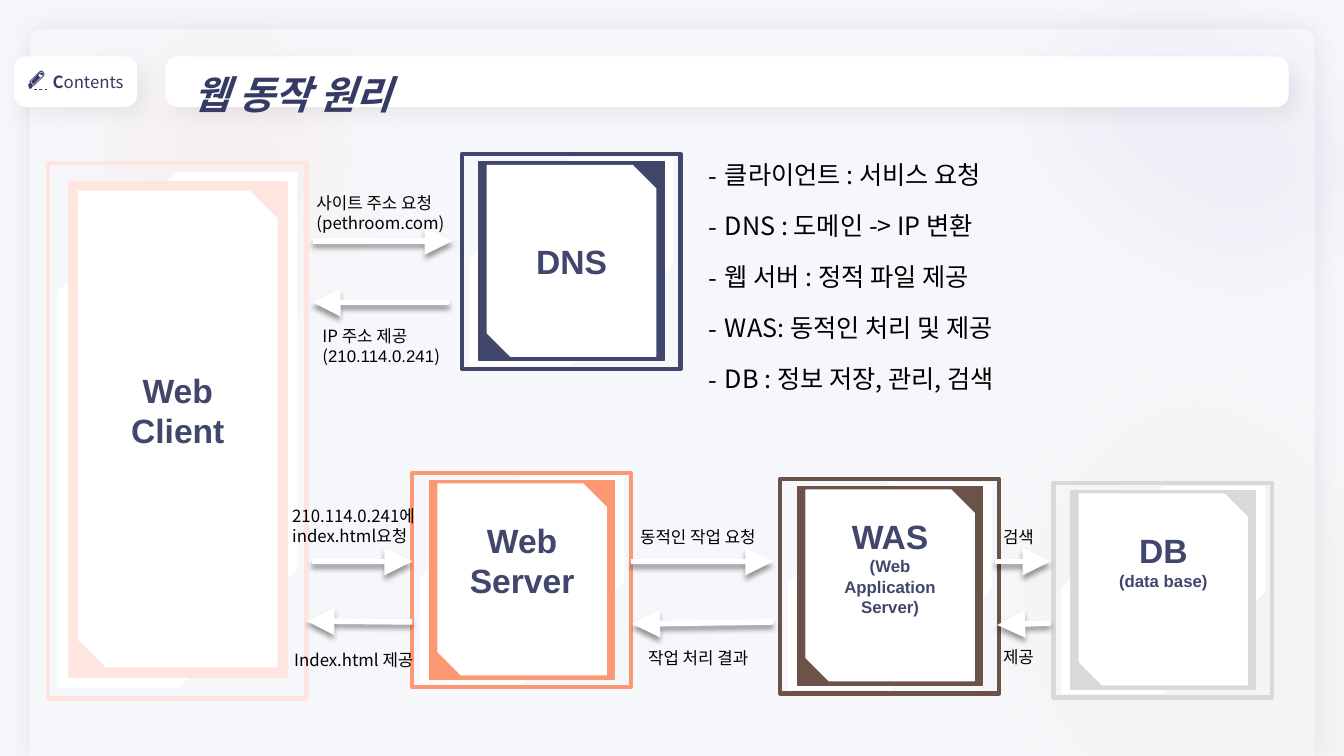
"""Builds the slide that explains how a web request travels from client to database."""
from dataclasses import dataclass

from lxml import etree
from pptx import Presentation
from pptx.dml.color import RGBColor
from pptx.enum.shapes import MSO_CONNECTOR, MSO_SHAPE
from pptx.enum.text import MSO_ANCHOR, MSO_AUTO_SIZE, PP_ALIGN
from pptx.oxml.ns import qn
from pptx.util import Inches, Pt

RECT, OVAL, ROUND = MSO_SHAPE.RECTANGLE, MSO_SHAPE.OVAL, MSO_SHAPE.ROUNDED_RECTANGLE
PANEL, SNIP = MSO_SHAPE.ROUND_2_SAME_RECTANGLE, MSO_SHAPE.SNIP_2_DIAG_RECTANGLE
STRAIGHT = MSO_CONNECTOR.STRAIGHT
LEFT, CENTER, RIGHT = PP_ALIGN.LEFT, PP_ALIGN.CENTER, PP_ALIGN.RIGHT
TOP, MIDDLE = MSO_ANCHOR.TOP, MSO_ANCHOR.MIDDLE
FIXED = MSO_AUTO_SIZE.NONE


@dataclass(frozen=True)
class Theme:
    """Colours, fonts and type sizes."""
    page: str = "F6F7FB"
    white: str = "FFFFFF"
    black: str = "000000"
    ink: str = "363B64"
    navy: str = "41466D"
    pink: str = "FEE5E0"
    orange: str = "FC9974"
    coral: str = "FD9374"
    purple: str = "7030A0"
    brown: str = "6D524A"
    gray: str = "D9D9D9"
    korean: str = "Noto Sans CJK KR"
    latin: str = "Arial"
    title: int = 28
    node: int = 24
    body: int = 18
    small: int = 12


T = Theme()
PANEL_SHADOW = (T.ink, 10, 18, 0, 0)
CARD_SHADOW = (T.black, 5, 15, 8, 45)
ARROW_SHADOW = (T.black, 40, 4, 3, 90)

TITLE = "웹 동작 원리"
TITLE_BAR = (1.64, 0.56, 11.14, 0.5)
TAB = (0.14, 0.56, 1.22, 0.5)
ROLES = [
    "클라이언트 : 서비스 요청",
    "DNS : 도메인 -> IP 변환",
    "웹 서버 : 정적 파일 제공",
    "WAS: 동적인 처리 및 제공",
    "DB : 정보 저장, 관리, 검색",
]
GLOWS = [
    ((0, -0.9, 4.5, 4.91), 0, T.coral, 7),
    ((9.7, -1.43, 4.5, 5.63), 291.5, T.purple, 4),
    ((9.01, 2.69, 6.26, 7.27), 339.8, T.orange, 4),
]
NODES = [
    ((0.48, 1.62, 2.56, 5.31), T.pink, [("Web", T.node), ("Client", T.node)], 0.38),
    ((4.09, 4.69, 2.17, 2.13), T.orange, [("Web", T.node), ("Server", T.node)], 0.38),
    ((7.74, 4.75, 2.17, 2.13), T.brown,
     [("WAS", T.node), ("(Web Application Server)", T.small)], 0.38),
    ((10.45, 4.79, 2.17, 2.13), T.gray, [("DB", T.node), ("(data base)", T.small)], 0.58),
    ((4.58, 1.53, 2.17, 2.13), T.navy, [("DNS", T.node)], 0),
]
ARROWS = [
    (3.1, 2.39, 4.49, 2.39), (4.45, 3, 3.1, 3),
    (3.09, 5.57, 4.09, 5.57), (4.09, 6.17, 3.04, 6.16),
    (6.26, 5.57, 7.67, 5.57), (7.67, 6.17, 6.27, 6.19),
    (9.87, 5.57, 10.42, 5.57), (10.42, 6.18, 9.89, 6.2),
]
LABELS = [
    ((3.04, 1.86, 1.55, 0.5), [["사이트 주소 요청"], ["(pethroom.com)"]]),
    ((3.1, 3.18, 1.46, 0.5), [["IP 주소 제공"], ["(", ("210.114.0.241", T.latin), ")"]]),
    ((2.8, 4.97, 1.53, 0.5), [["210.114.0.241에"], ["index.html요청"]]),
    ((6.25, 5.18, 1.69, 0.3), [["동적인 작업 요청"]]),
    ((6.33, 6.38, 1.53, 0.3), [["작업 처리 결과"]]),
    ((2.82, 6.4, 1.53, 0.3), [["Index.html 제공"]]),
    ((9.85, 5.18, 0.58, 0.3), [["검색"]]),
    ((9.85, 6.37, 0.55, 0.3), [["제공"]]),
]
PENCIL = [
    [[(29, 88), (28, 84), (30, 82), (29, 81), (39, 71), (41, 70), (43, 71), (44, 73),
      (44, 75), (34, 85), (33, 85), (31, 88)],
     [(39, 72), (30, 81), (33, 85), (43, 75), (43, 72), (41, 71)]],
    [[(33, 84), (42, 75), (43, 73), (42, 72), (40, 72), (39, 72), (31, 81)],
     [(39, 73), (38, 75), (40, 77), (42, 75)]],
]
DASHES = [(0.34, 0.37), (0.39, 0.42), (0.45, 0.47)]


def rgb(color):
    return RGBColor.from_string(color)


def box(at):
    return [Inches(v) for v in at]


def add_effects(sp, shadow=None, soft=None):
    effects = etree.SubElement(sp.element.spPr, qn("a:effectLst"))
    if shadow:
        color, alpha, blur, dist, angle = shadow
        outer = etree.SubElement(effects, qn("a:outerShdw"), blurRad=str(Pt(blur)),
                                 dist=str(Pt(dist)), dir=str(angle * 60000), rotWithShape="0")
        clr = etree.SubElement(outer, qn("a:srgbClr"), val=color)
        etree.SubElement(clr, qn("a:alpha"), val=str(alpha * 1000))
    if soft:
        etree.SubElement(effects, qn("a:softEdge"), rad=str(Inches(soft)))


def paint(sp, fill=None, line=None, width=1, shadow=None, alpha=None, soft=None):
    if fill:
        sp.fill.solid()
        sp.fill.fore_color.rgb = rgb(fill)
    else:
        sp.fill.background()
    if alpha:
        clr = sp.element.spPr.find(qn("a:solidFill"))[0]
        etree.SubElement(clr, qn("a:alpha"), val=str(alpha * 1000))
    if line:
        sp.line.color.rgb = rgb(line)
        sp.line.width = Pt(width)
    else:
        sp.line.fill.background()
    add_effects(sp, shadow, soft)


def add_shape(s, kind, at, adj=(), **look):
    sp = s.shapes.add_shape(kind, *box(at))
    for i, value in enumerate(adj):
        sp.adjustments[i] = value
    paint(sp, **look)
    return sp


def add_run(p, text, size, color, font=T.korean, bold=False, italic=False):
    r = p.add_run()
    r.text = text
    f = r.font
    f.size, f.bold, f.italic, f.name = Pt(size), bold, italic, font
    f.color.rgb = rgb(color)
    f.element.append(etree.Element(qn("a:ea"), typeface=font)) if hasattr(f, "element") else \
        etree.SubElement(r._r.get_or_add_rPr(), qn("a:ea"), typeface=font)


def paragraphs(tf, items, align=LEFT):
    for i, item in enumerate(items):
        p = tf.add_paragraph() if i else tf.paragraphs[0]
        p.alignment = align
        yield p, item


def add_line(s, ends, color, width):
    line = s.shapes.add_connector(STRAIGHT, *box(ends))
    line.line.color.rgb = rgb(color)
    line.line.width = Pt(width)
    return line


def add_node(s, at, color, lines, lift):
    x, y, w, h = at
    add_shape(s, RECT, at, line=color, width=3)
    for k, fill, adj in [(1, T.white, (0.5, 0)), (2, color, (0, 0)), (3, T.white, (0, 0.138))]:
        layer = (x + 0.039 * k * w, y + 0.0175 * k * h,
                 w * (1 - 0.077 * k), h * (1 - 0.0373 * k))
        sp = add_shape(s, SNIP, layer, adj, fill=fill, line=fill)
    tf = sp.text_frame
    tf.word_wrap, tf.vertical_anchor = True, MIDDLE
    tf.margin_bottom = Inches(0.05 + lift)
    for p, (text, size) in paragraphs(tf, lines, CENTER):
        add_run(p, text, size, T.navy, T.latin, bold=True)


def add_header(s):
    tab = add_shape(s, ROUND, TAB, [0.237], fill=T.white, shadow=CARD_SHADOW)
    tab.text_frame.vertical_anchor = MIDDLE
    p = tab.text_frame.paragraphs[0]
    p.alignment = RIGHT
    add_run(p, "C", T.small, T.ink, bold=True)
    add_run(p, "ontents", T.small, T.ink)
    for contours in PENCIL:
        fb = s.shapes.build_freeform(*contours[0][0], scale=Inches(0.01))
        fb.add_line_segments(contours[0][1:])
        for hole in contours[1:]:
            fb.move_to(*hole[0])
            fb.add_line_segments(hole[1:])
        paint(fb.convert_to_shape(), fill=T.ink)
    for x1, x2 in DASHES:
        add_effects(add_line(s, (x1, 0.88, x2, 0.88), T.ink, 0.25))
    add_shape(s, ROUND, TITLE_BAR, [0.237], fill=T.white, shadow=CARD_SHADOW)


def place(holder, at, anchor):
    holder.left, holder.top, holder.width, holder.height = box(at)
    holder.element.getparent().append(holder.element)
    tf = holder.text_frame
    tf.word_wrap, tf.auto_size, tf.vertical_anchor = True, FIXED, anchor
    return tf


def main():
    prs = Presentation()
    prs.slide_width, prs.slide_height = Inches(13.33), Inches(7.5)
    s = prs.slides.add_slide(prs.slide_layouts[1])
    s.background.fill.solid()
    s.background.fill.fore_color.rgb = rgb(T.page)
    add_shape(s, PANEL, (0.3, 0.29, 12.74, 7.21), (0.016, 0), fill=T.page, shadow=PANEL_SHADOW)
    for at, angle, color, alpha in GLOWS:
        add_shape(s, OVAL, at, fill=color, alpha=alpha, soft=0.9).rotation = angle
    add_header(s)
    tf = place(s.shapes.title, TITLE_BAR, MIDDLE)
    tf.margin_left = Inches(0.28)
    p = tf.paragraphs[0]
    p.alignment, p.line_spacing = LEFT, 1.5
    add_run(p, TITLE, T.title, T.ink, bold=True, italic=True)
    for node in NODES:
        add_node(s, *node)
    for ends in ARROWS:
        arrow = add_line(s, ends, T.white, 4)
        etree.SubElement(arrow.element.spPr.find(qn("a:ln")), qn("a:tailEnd"),
                         type="triangle", w="lg", len="lg")
        add_effects(arrow, ARROW_SHADOW)
    tf = place(s.placeholders[1], (6.93, 1.53, 3.35, 2.67), TOP)
    for i, (p, role) in enumerate(paragraphs(tf, ROLES)):
        pPr = p._p.get_or_add_pPr()
        pPr.set("marL", str(Inches(0.16)))
        pPr.set("indent", str(-Inches(0.16)))
        etree.SubElement(pPr, qn("a:buFont"), typeface=T.korean)
        etree.SubElement(pPr, qn("a:buChar"), char="-")
        p.space_before = Pt(14.8 if i else 0)
        add_run(p, role, T.body, T.black)
    for at, lines in LABELS:
        tf = s.shapes.add_textbox(*box(at)).text_frame
        tf.word_wrap = True
        for p, runs in paragraphs(tf, lines):
            for run in runs:
                text, font = (run, T.korean) if isinstance(run, str) else run
                add_run(p, text, T.small, T.black, font)
    prs.save("out.pptx")


if __name__ == "__main__":
    main()
